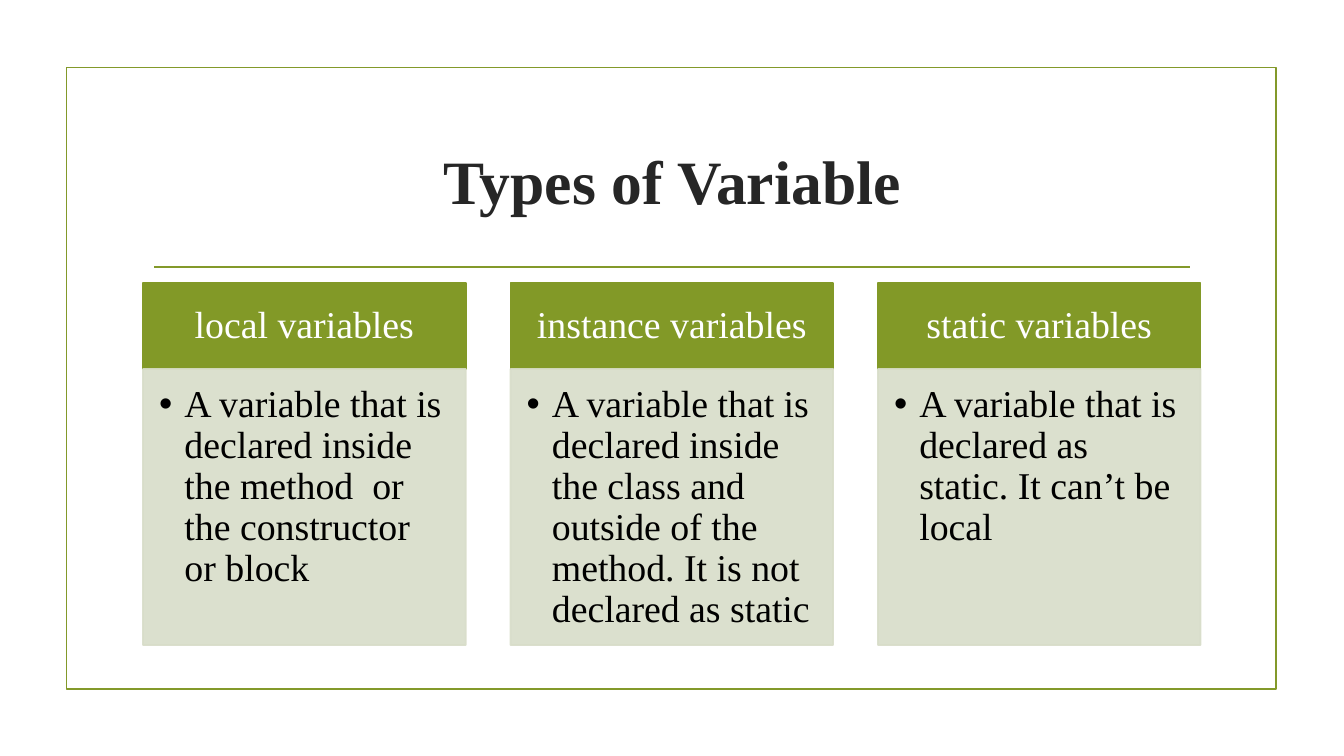
from dataclasses import dataclass
from pptx import Presentation, util as u
from pptx.dml.color import RGBColor
from pptx.enum import shapes, text
from pptx.oxml import ns
from lxml import etree


@dataclass(frozen=True)
class Theme:
    font: str = "Times New Roman"
    rule: str = "83992A"
    head: str = "829927"
    body: str = "D8DDC9"
    title: str = "262626"
    light: str = "FFFFFF"
    dark: str = "000000"
    big: float = 44
    size: float = 27
    line: float = 1.25
    alpha: int = 90


@dataclass(frozen=True)
class Box:
    left: float
    top: float
    width: float
    height: float


@dataclass(frozen=True)
class Card:
    name: str
    note: str


THEME = Theme()
WIDE, HIGH = u.Inches(13.333), u.Inches(7.5)
FRAME = Box(4.95, 8.93, 90, 82.27)
TITLE = Box(10.65, 14.27, 78.75, 19.07)
RULE = Box(11.48, 35.33, 77.1, 0)
HEAD = Box(10.65, 37.47, 24, 11.33)
BODY = Box(10.65, 48.8, 24, 36.53)
PITCH = 27.34
CARDS = (
    Card("local variables",
         "A variable that is declared inside the method  or the constructor or block"),
    Card("instance variables",
         "A variable that is declared inside the class and outside of the method. "
         "It is not declared as static"),
    Card("static variables",
         "A variable that is declared as static. It can’t be local"),
)


def place(box: Box, col: int = 0) -> tuple[int, int, int, int]:
    return (round(WIDE * (box.left + col * PITCH) / 100),
            round(HIGH * box.top / 100),
            round(WIDE * box.width / 100),
            round(HIGH * box.height / 100))


def panel(slide, box: Box, line: str, fill: str = "", col: int = 0):
    shape = slide.shapes.add_shape(shapes.MSO_SHAPE.RECTANGLE, *place(box, col))
    shape.shadow.inherit = False
    if fill:
        shape.fill.solid()
        shape.fill.fore_color.rgb = RGBColor.from_string(fill)
    else:
        shape.fill.background()
    shape.line.color.rgb = RGBColor.from_string(line)
    shape.line.width = u.Pt(THEME.line)
    return shape


def fade(shape) -> None:
    for tint in shape._element.spPr.iter(ns.qn("a:srgbClr")):
        etree.SubElement(tint, ns.qn("a:alpha"), val=str(THEME.alpha * 1000))


def write(shape, words: str, size: float, color: str, pads: tuple[float, ...],
          bold: bool = False, space: float = 1.0, bullet: bool = False) -> None:
    frame = shape.text_frame
    frame.word_wrap = True
    frame.margin_left, frame.margin_top, frame.margin_right, frame.margin_bottom = (
        u.Inches(pad) for pad in pads)
    frame.vertical_anchor = text.MSO_ANCHOR.TOP if bullet else text.MSO_ANCHOR.MIDDLE
    para = frame.paragraphs[0]
    para.alignment = text.PP_ALIGN.LEFT if bullet else text.PP_ALIGN.CENTER
    para.line_spacing = space
    if bullet:
        props = para._p.get_or_add_pPr()
        props.set("marL", str(u.Inches(0.25)))
        props.set("indent", str(u.Inches(-0.25)))
        etree.SubElement(props, ns.qn("a:buFont"), typeface="Arial")
        etree.SubElement(props, ns.qn("a:buChar"), char="•")
    run = para.add_run()
    run.text = words
    run.font.name = THEME.font
    run.font.size = u.Pt(size)
    run.font.bold = bold
    run.font.color.rgb = RGBColor.from_string(color)


def rule(slide, box: Box) -> None:
    left, top, width, height = place(box)
    line = slide.shapes.add_connector(
        shapes.MSO_CONNECTOR.STRAIGHT, left, top, left + width, top + height)
    line.line.color.rgb = RGBColor.from_string(THEME.rule)
    line.line.width = u.Pt(THEME.line)
    etree.SubElement(line._element.spPr, ns.qn("a:effectLst"))


def draw(slide, card: Card, col: int) -> None:
    head = panel(slide, HEAD, THEME.head, THEME.head, col)
    write(head, card.name, THEME.size, THEME.light, (0.21, 0.12, 0.21, 0.12), space=0.9)
    body = panel(slide, BODY, THEME.body, THEME.body, col)
    fade(body)
    write(body, card.note, THEME.size, THEME.dark, (0.16, 0.16, 0.21, 0.24),
          space=0.9, bullet=True)


def main() -> None:
    deck = Presentation()
    deck.slide_width, deck.slide_height = WIDE, HIGH
    slide = deck.slides.add_slide(deck.slide_layouts[6])
    panel(slide, FRAME, THEME.rule)
    rule(slide, RULE)
    title = slide.shapes.add_textbox(*place(TITLE))
    write(title, "Types of Variable", THEME.big, THEME.title,
          (0.1, 0.05, 0.1, 0.05), bold=True)
    for col, card in enumerate(CARDS):
        draw(slide, card, col)
    deck.save("out.pptx")


if __name__ == "__main__":
    main()
